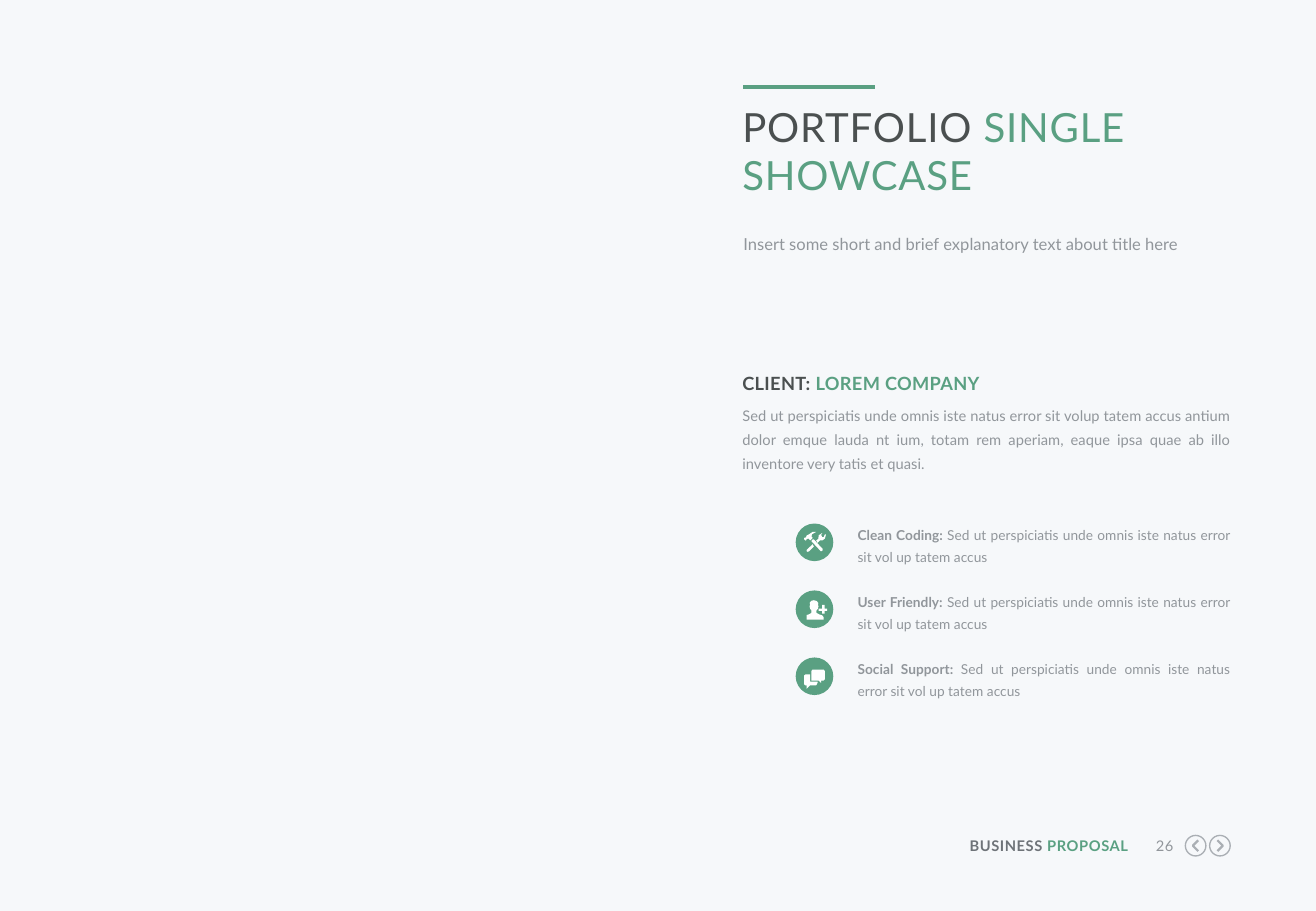
from lxml import etree
from pptx import Presentation
from pptx.dml.color import RGBColor
from pptx.enum.shapes import MSO_CONNECTOR, MSO_SHAPE
from pptx.enum.text import MSO_ANCHOR, MSO_AUTO_SIZE, PP_ALIGN
from pptx.oxml.ns import qn
from pptx.util import Pt

LEFT, RIGHT, JUST = PP_ALIGN.LEFT, PP_ALIGN.RIGHT, PP_ALIGN.JUSTIFY
OVAL, LINE = MSO_SHAPE.OVAL, MSO_CONNECTOR.STRAIGHT
TOP, FIXED = MSO_ANCHOR.TOP, MSO_AUTO_SIZE.NONE

HEX = {"page": "F6F8FA", "green": "5AA082", "dark": "4B5050", "slate": "6E7378",
       "gray": "91969B", "nav": "AAAFB4", "white": "FFFFFF"}
RGB = {name: RGBColor.from_string(code) for name, code in HEX.items()}

prs = Presentation()
prs.slide_width, prs.slide_height = Pt(780), Pt(540)
slide = prs.slides.add_slide(prs.slide_layouts[1])
slide.background.fill.solid()
slide.background.fill.fore_color.rgb = RGB["page"]
shapes = slide.shapes


def write(runs, box, size, align=LEFT, lead=None, track=0, holder=None):
    """Write runs of (text, colour, bold) into a new box or a placeholder."""
    left, top, width, height = map(Pt, box)
    item = holder or shapes.add_textbox(left, top, width, height)
    item.left, item.top, item.width, item.height = left, top, width, height
    frame = item.text_frame
    frame.word_wrap, frame.auto_size = True, FIXED
    frame.vertical_anchor = TOP
    frame.margin_left = frame.margin_right = 0
    frame.margin_top = frame.margin_bottom = 0
    para = frame.paragraphs[0]
    if holder:
        props = para._p.get_or_add_pPr()
        props.set("marL", "0")
        props.set("indent", "0")
        etree.SubElement(props, qn("a:buNone"))
    para.alignment = align
    para.space_before = Pt(0)
    if lead:
        para.line_spacing = Pt(lead)
    for text, color, bold in runs:
        run = para.add_run()
        run.text = text
        run.font.name, run.font.size, run.font.bold = "Lato", Pt(size), bold
        run.font.color.rgb = RGB[color]
        if track:
            run._r.get_or_add_rPr().set("spc", str(round(track * 100)))


def draw(parts, left, top, closed=True):
    """Draw outlines given in tenths of a point from (left, top)."""
    pen = shapes.build_freeform(*parts[0][0], scale=Pt(1) / 10)
    for i, part in enumerate(parts):
        if i:
            pen.move_to(*part[0])
        pen.add_line_segments(part[1:], close=closed)
    item = pen.convert_to_shape(Pt(left), Pt(top))
    item.shadow.inherit = False
    return item


# Heading
rule = shapes.add_connector(LINE, Pt(440.6), Pt(51.8), Pt(518.4), Pt(51.8))
rule.line.color.rgb, rule.line.width = RGB["green"], Pt(2.25)
etree.SubElement(rule._element.spPr, qn("a:effectLst"))
write([("PORTFOLIO ", "dark", False), ("SINGLE SHOWCASE", "green", False)],
      (440, 60.5, 289.5, 66.2), 23.8, track=0.5, holder=shapes.title)
write([("Insert some short and brief explanatory text about title here", "gray", False)],
      (440.6, 137.5, 289.5, 15.1), 9.8, lead=13, holder=slide.placeholders[1])

# Client
write([("CLIENT: ", "dark", True), ("LOREM COMPANY", "green", True)],
      (440, 215.3, 289.5, 18), 10.8, lead=18.4, track=0.2)
write([("Sed ut perspiciatis unde omnis iste natus error sit volup tatem accus antium "
        "dolor emque lauda nt ium, totam rem aperiam, eaque ipsa quae ab illo "
        "inventore very tatis et quasi.", "gray", False)],
      (440, 237.6, 289.5, 42.5), 8.7, JUST, lead=14.1)

# Feature icons
tools = [
    [(65, 94), (76, 89), (86, 101), (101, 86), (95, 79), (96, 65), (122, 50),
     (101, 50), (79, 65), (65, 72), (62, 82), (50, 86), (50, 94), (61, 103)],
    [(107, 94), (97, 97), (94, 106), (150, 166), (160, 160), (160, 151)],
    [(180, 65), (173, 65), (166, 82), (158, 82), (151, 68), (159, 56), (137, 70),
     (134, 92), (122, 101), (130, 115), (144, 101), (158, 101), (173, 90)],
    [(65, 158), (66, 166), (72, 168), (79, 166), (108, 137), (101, 123)],
]
user = [
    [(166, 158), (166, 173), (65, 173), (65, 146), (79, 142), (94, 133), (94, 119),
     (86, 108), (83, 94), (86, 86), (84, 74), (92, 62), (108, 58), (124, 62),
     (135, 74), (133, 86), (136, 94), (132, 108), (124, 119), (124, 133),
     (140, 142), (158, 148)],
    [(187, 108), (187, 122), (173, 122), (173, 137), (158, 137), (158, 122),
     (137, 122), (137, 108), (158, 108), (158, 86), (173, 86), (173, 108)],
]
chat = [
    [(130, 144), (130, 151), (122, 166), (86, 166), (65, 187), (65, 166), (58, 166),
     (50, 158), (50, 108), (58, 101), (86, 101), (86, 144)],
    [(173, 80), (173, 130), (166, 137), (151, 137), (151, 151), (137, 137),
     (94, 137), (94, 80), (101, 72), (166, 72)],
]

# Feature rows
rows = [("Clean Coding: ", tools), ("User Friendly: ", user), ("Social Support: ", chat)]
for i, (name, icon) in enumerate(rows):
    top = 310.3 + i * 39.7
    disc = shapes.add_shape(OVAL, Pt(471.6), Pt(top), Pt(22.3), Pt(22.3))
    disc.shadow.inherit = False
    mark = draw(icon, 471.6, top)
    for item, color in ((disc, "green"), (mark, "white")):
        item.fill.solid()
        item.fill.fore_color.rgb = RGB[color]
        item.line.fill.background()
    write([(name, "gray", True),
           ("Sed ut perspiciatis unde omnis iste natus error sit vol up tatem accus",
            "gray", False)],
          (508.3, top - 1.2, 221, 26), 8.1, JUST, lead=13)

# Footer
write([("BUSINESS ", "slate", True), ("PROPOSAL", "green", True)],
      (570.2, 496.1, 98.6, 10.8), 8.7, RIGHT, track=0.3)
write([("26", "gray", False)], (677.5, 496.1, 18, 10.8), 8.7, RIGHT, track=0.3)

# Page arrows
for left, tip, tail in ((702.2, 48, 80), (716.6, 82, 50)):
    ring = shapes.add_shape(OVAL, Pt(left + 0.4), Pt(495.2), Pt(12.2), Pt(12.2))
    ring.shadow.inherit = False
    arrow = draw([[(tail, 33), (tip, 65), (tail, 97)]], left, 494.8, closed=False)
    for item, width in ((ring, 0.8), (arrow, 1.3)):
        item.fill.background()
        item.line.color.rgb, item.line.width = RGB["nav"], Pt(width)

prs.save("out.pptx")
